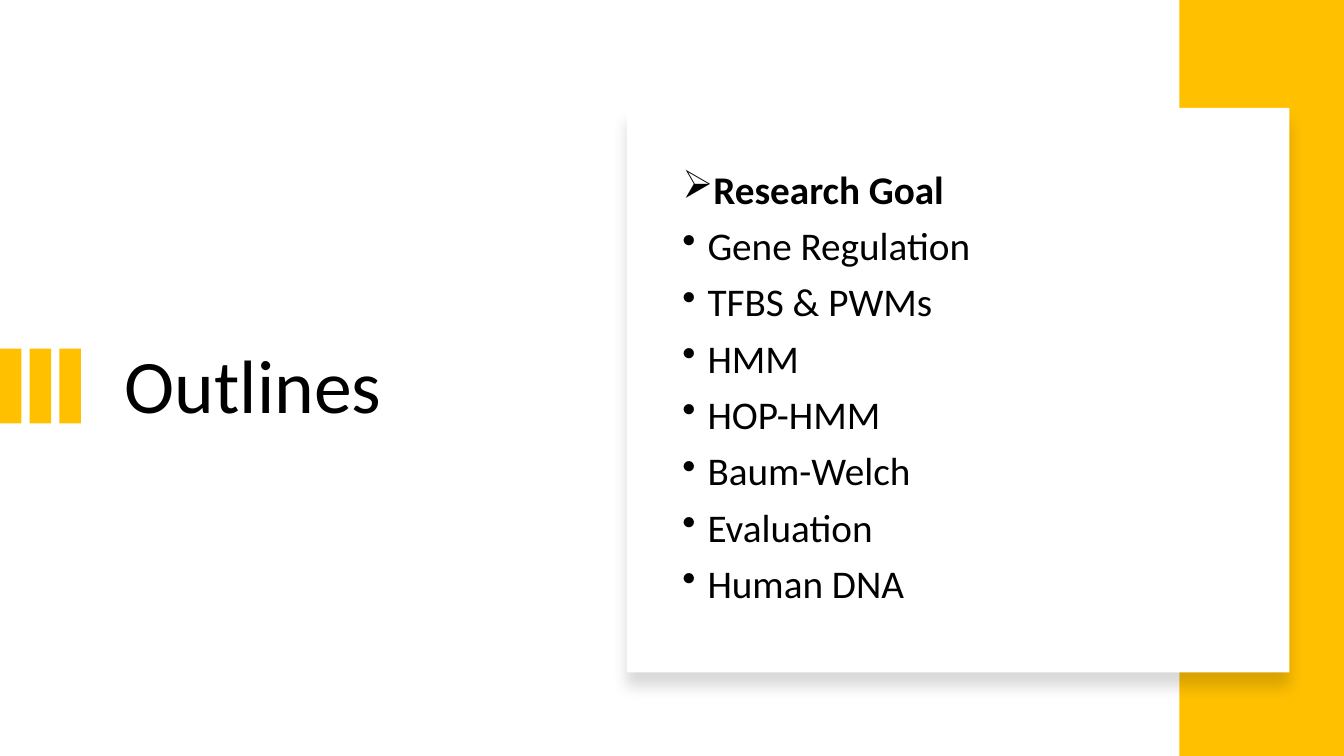
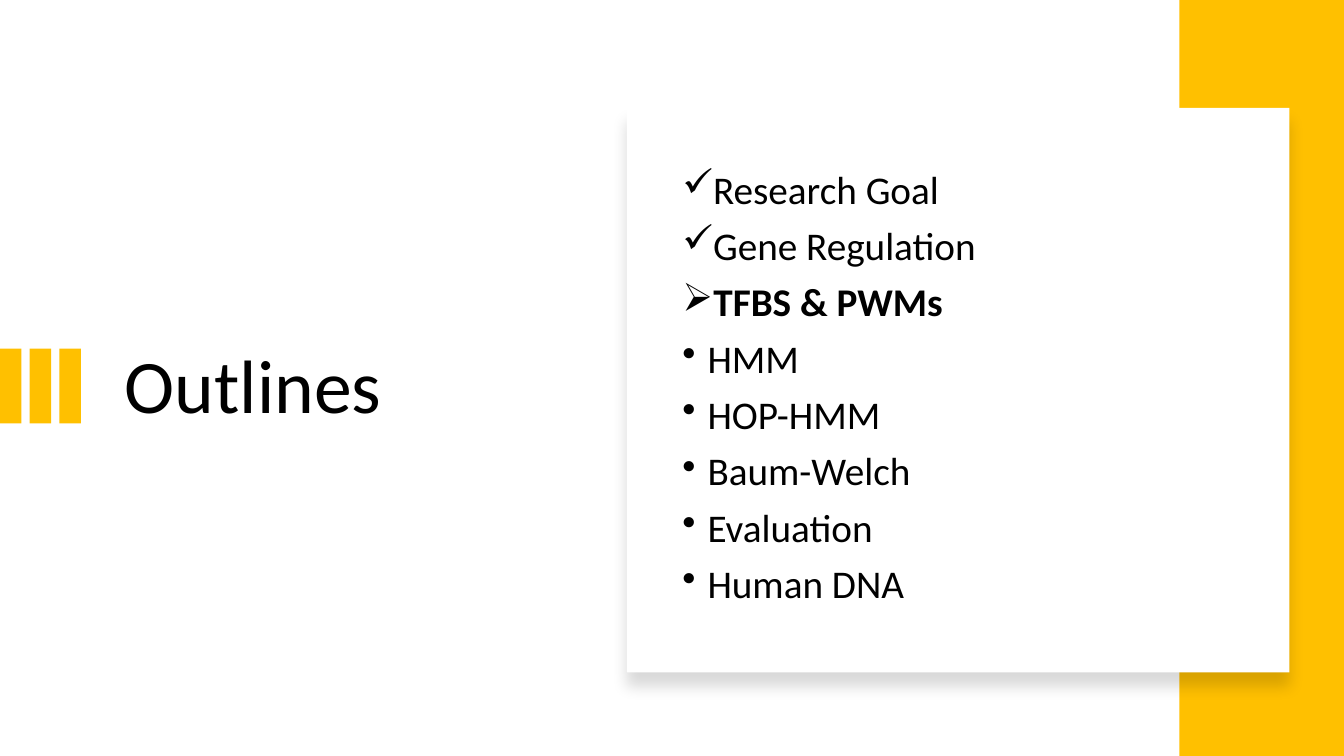
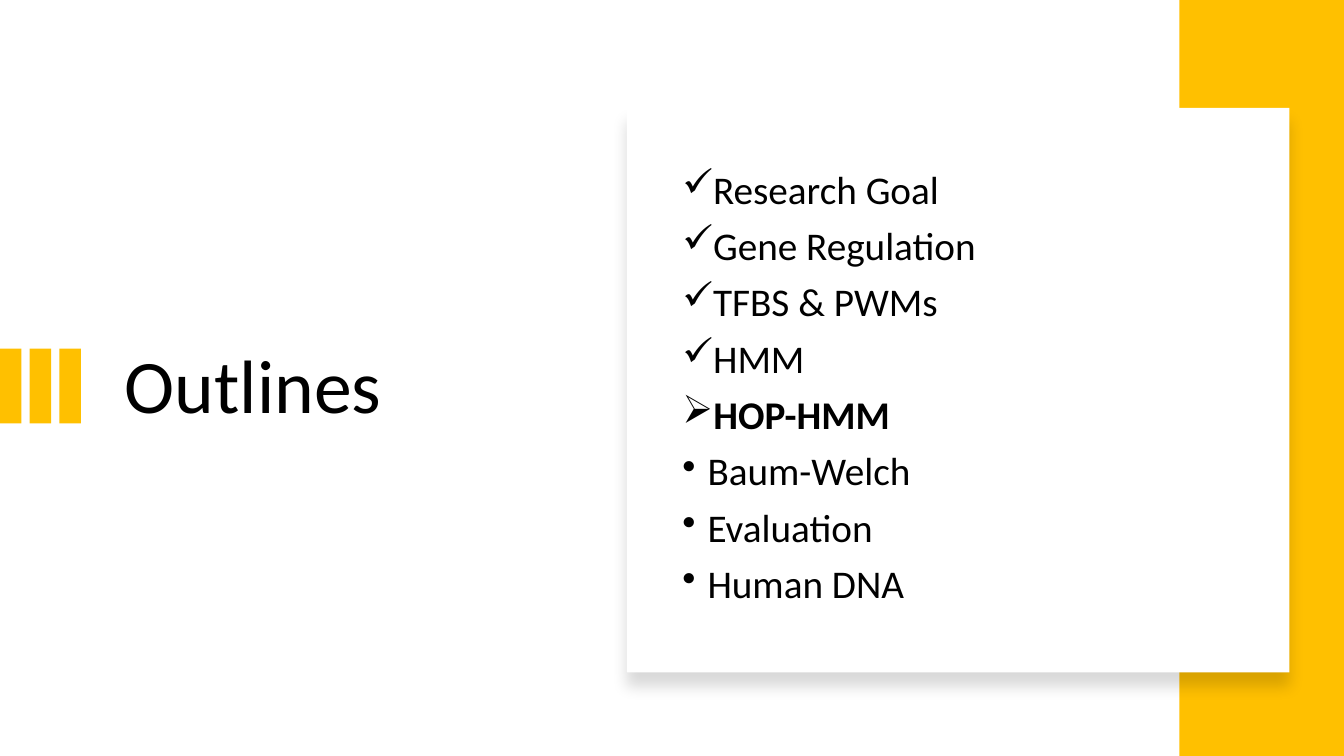
from lxml.etree import SubElement
from pptx import Presentation
from pptx.dml.color import RGBColor
from pptx.enum.shapes import MSO_SHAPE as Shape
from pptx.enum.text import MSO_ANCHOR as Anchor
from pptx.oxml.ns import qn
from pptx.util import Inches, Pt

TOPICS = ["Research Goal", "Gene Regulation", "TFBS & PWMs", "HMM",
          "HOP-HMM", "Baum-Welch", "Evaluation", "Human DNA"]
CURRENT_TOPICS = ["Research Goal", "TFBS & PWMs", "HOP-HMM"]


def color(value):
    return RGBColor.from_string(value)


class OutlineDeck:
    FONT, INK, ACCENT, PAPER = "Calibri", "000000", "FFC000", "FFFFFF"
    TEXT_TOP, TEXT_HEIGHT = 19.47, 63.87

    def __init__(self):
        self.deck = Presentation()
        self.deck.slide_width = Inches(13.33)
        self.deck.slide_height = Inches(7.5)
        self.page = None

    def new_page(self):
        self.page = self.deck.slides.add_slide(self.deck.slide_layouts[6])

    def place(self, left, top, width, height):
        across, down = self.deck.slide_width, self.deck.slide_height
        return [round(share * full / 100) for share, full in
                zip((left, top, width, height), (across, down, across, down))]

    def panel(self, area, fill, parent=None):
        panel = (parent or self.page).shapes.add_shape(Shape.RECTANGLE, *self.place(*area))
        panel.shadow.inherit = False
        panel.fill.solid()
        panel.fill.fore_color.rgb = color(fill)
        panel.line.fill.background()
        return panel

    def bars(self):
        group = self.page.shapes.add_group_shape()
        for column in range(3):
            self.panel((column * 2.21, 46.13, 1.6, 9.87), self.ACCENT, group)

    def card(self, area):
        card = self.panel(area, self.PAPER)
        effects = card._element.spPr.find(qn("a:effectLst"))
        shadow = SubElement(effects, qn("a:outerShdw"), blurRad=str(Pt(11)),
                            dist=str(Pt(10)), dir="5400000", algn="t", rotWithShape="0")
        ink = SubElement(shadow, qn("a:srgbClr"), val=self.INK)
        SubElement(ink, qn("a:alpha"), val="15000")

    def text_frame(self, left, width):
        area = self.place(left, self.TEXT_TOP, width, self.TEXT_HEIGHT)
        frame = self.page.shapes.add_textbox(*area).text_frame
        frame.word_wrap = True
        frame.vertical_anchor = Anchor.MIDDLE
        return frame

    def add_text(self, para, text, size, bold=False):
        para.line_spacing = 0.9
        span = para.add_run()
        span.text = text
        span.font.name = self.FONT
        span.font.size = Pt(size)
        span.font.bold = bold
        span.font.color.rgb = color(self.INK)

    def title(self, text):
        self.add_text(self.text_frame(8.55, 31.95).paragraphs[0], text, 54)

    def bullet(self, para, mark):
        props = para._p.get_or_add_pPr()
        props.set("marL", str(Inches(0.25)))
        props.set("indent", str(-Inches(0.25)))
        SubElement(props, qn("a:buChar"), char=mark)

    def topic_list(self, topics, current):
        frame = self.text_frame(50.03, 43.13)
        active = topics.index(current)
        for index, topic in enumerate(topics):
            para = frame.add_paragraph() if index else frame.paragraphs[0]
            mark = "✓" if index < active else "➢" if index == active else "•"
            self.bullet(para, mark)
            if index:
                para.space_before = Pt(10)
            self.add_text(para, topic, 28, index == active)

    def outline(self, current):
        self.new_page()
        self.title("Outlines")
        self.bars()
        self.panel((87.75, 0, 12.25, 100), self.ACCENT)
        self.card((46.65, 14.27, 49.28, 74.67))
        self.topic_list(TOPICS, current)


def main():
    outlines = OutlineDeck()
    for topic in CURRENT_TOPICS:
        outlines.outline(topic)
    outlines.deck.save("out.pptx")


if __name__ == "__main__":
    main()
